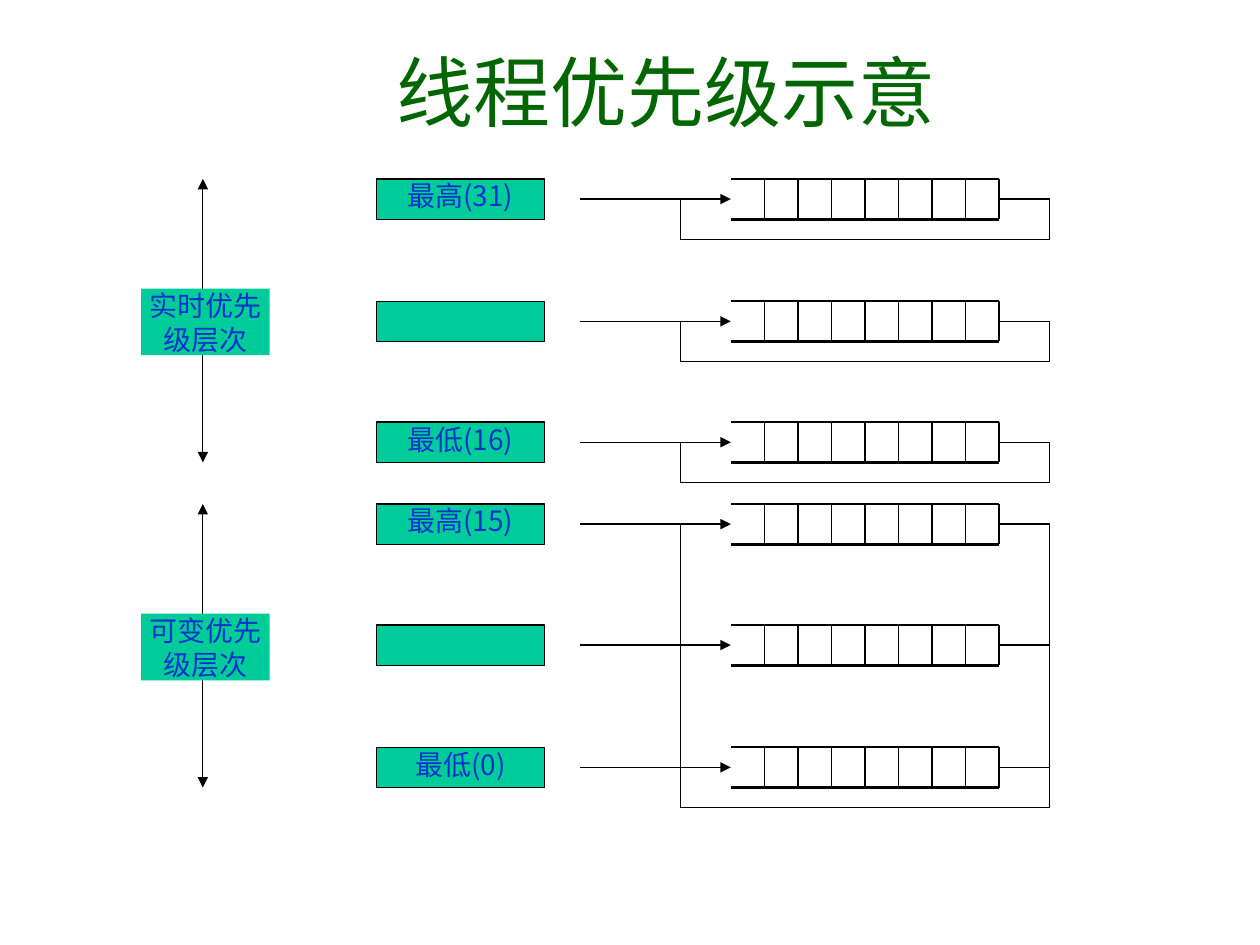
from dataclasses import dataclass

from lxml.etree import SubElement as Sub
from pptx import Presentation
from pptx.dml.color import RGBColor as Rgb
from pptx.enum.shapes import MSO_CONNECTOR as Conn, MSO_SHAPE as Form
from pptx.enum.text import MSO_ANCHOR as Anchor, MSO_AUTO_SIZE as Auto, PP_ALIGN as Align
from pptx.oxml.ns import qn
from pptx.util import Inches, Pt

FONT = "Noto Sans CJK JP"
BLACK, GREEN, BLUE, DARK = "000000", "00CC99", "0033CC", "006600"
HIGH = 0.32
MID = HIGH / 2
LEFT, RIGHT, CELLS = 5.8, 7.93, 8
START, BACK, OUT = 4.6, 5.4, 8.33


@dataclass(frozen=True)
class Level:
    top: float
    text: str


@dataclass(frozen=True)
class Band:
    lines: tuple[str, ...]
    levels: tuple[Level, ...]
    loops: tuple[tuple[int, int], ...]


BANDS = (
    Band(("实时优先", "级层次"),
         (Level(1.42, "最高(31)"), Level(2.39, ""), Level(3.35, "最低(16)")),
         ((0, 0), (1, 1), (2, 2))),
    Band(("可变优先", "级层次"),
         (Level(4.0, "最高(15)"), Level(4.96, ""), Level(5.93, "最低(0)")),
         ((0, 2),)),
)


def color(code: str) -> Rgb:
    return Rgb.from_string(code)


def write(para, text: str, size: int, code: str) -> None:
    para.alignment = Align.CENTER
    run = para.add_run()
    run.text = text
    font = run.font
    font.size = Pt(size)
    font.color.rgb = color(code)
    font.name = FONT
    Sub(run._r.get_or_add_rPr(), qn("a:ea"), typeface=FONT)


def line(slide, x1: float, y1: float, x2: float, y2: float,
         width: float = 0.75, head: bool = False, tail: bool = False) -> None:
    item = slide.shapes.add_connector(
        Conn.STRAIGHT, Inches(x1), Inches(y1), Inches(x2), Inches(y2))
    item.line.color.rgb = color(BLACK)
    item.line.width = Pt(width)
    stroke = item.line._get_or_add_ln()
    for tag, shown in (("a:headEnd", head), ("a:tailEnd", tail)):
        if shown:
            Sub(stroke, qn(tag), type="triangle")
    Sub(item._element.spPr, qn("a:effectLst"))


def box(slide, x: float, y: float, w: float, h: float,
        lines: tuple[str, ...], edge: bool) -> None:
    item = slide.shapes.add_shape(
        Form.RECTANGLE, Inches(x), Inches(y), Inches(w), Inches(h))
    item.shadow.inherit = False
    item.fill.solid()
    item.fill.fore_color.rgb = color(GREEN)
    if edge:
        item.line.color.rgb = color(BLACK)
        item.line.width = Pt(0.75)
    else:
        item.line.fill.background()
    frame = item.text_frame
    frame.word_wrap = True
    frame.vertical_anchor = Anchor.TOP
    frame.margin_left = frame.margin_right = 0
    frame.margin_top = frame.margin_bottom = 0
    for i, text in enumerate(lines):
        para = frame.add_paragraph() if i else frame.paragraphs[0]
        write(para, text, 16, BLUE)


def queue(slide, level: Level) -> None:
    top, low, mid = level.top, level.top + HIGH, level.top + MID
    for y in (top, low):
        line(slide, LEFT, y, RIGHT, y, 1.5)
    line(slide, RIGHT, top, RIGHT, low, 1.5)
    for i in range(1, CELLS):
        x = LEFT + (RIGHT - LEFT) * i / CELLS
        line(slide, x, top, x, low)
    line(slide, RIGHT, mid, OUT, mid)
    line(slide, START, mid, LEFT, mid, tail=True)
    box(slide, 2.99, top, 1.33, HIGH, (level.text,) if level.text else (), True)


def loop(slide, first: Level, last: Level) -> None:
    top, low = first.top + MID, last.top + HIGH + MID
    line(slide, BACK, low, OUT, low)
    for x in (BACK, OUT):
        line(slide, x, top, x, low)


def draw(slide, band: Band) -> None:
    top, low = band.levels[0].top, band.levels[-1].top + HIGH
    line(slide, 1.61, top, 1.61, low, head=True, tail=True)
    box(slide, 1.12, top + 0.87, 1.02, 0.53, band.lines, False)
    for level in band.levels:
        queue(slide, level)
    for first, last in band.loops:
        loop(slide, band.levels[first], band.levels[last])


def main() -> None:
    deck = Presentation()
    deck.slide_width, deck.slide_height = Inches(10), Inches(7.5)
    slide = deck.slides.add_slide(deck.slide_layouts[5])
    title = slide.shapes.title
    title.left, title.top = Inches(0.75), Inches(0.67)
    title.width, title.height = Inches(9.08), Inches(0.83)
    frame = title.text_frame
    frame.auto_size = Auto.NONE
    frame.vertical_anchor = Anchor.MIDDLE
    write(frame.paragraphs[0], "线程优先级示意", 44, DARK)
    frame.paragraphs[0].add_line_break()
    for band in BANDS:
        draw(slide, band)
    deck.save("out.pptx")


if __name__ == "__main__":
    main()
